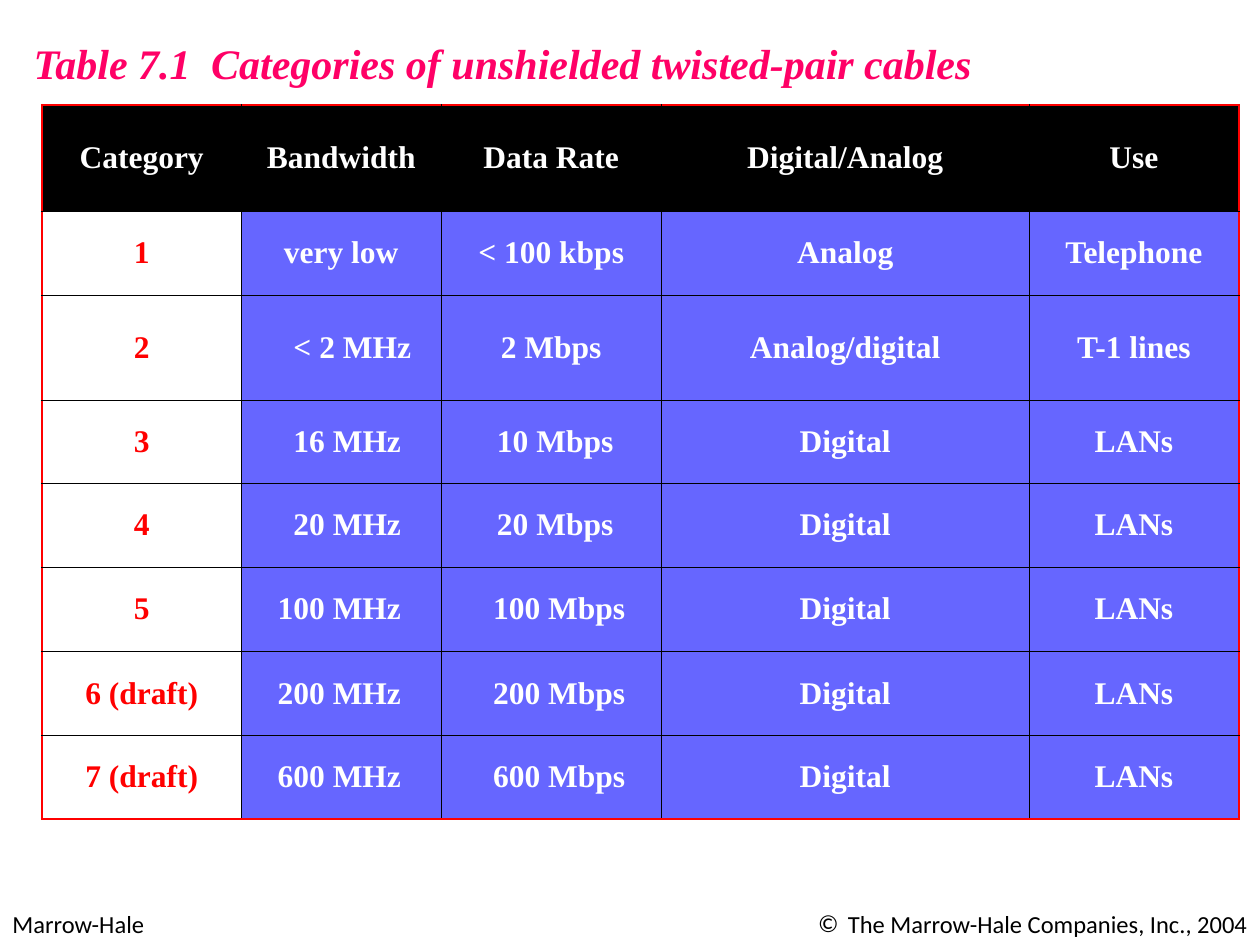
import pptx
import pptx.dml.color
import pptx.enum.text
import pptx.oxml
import pptx.oxml.ns
import pptx.util

Pt = pptx.util.Pt
ALIGN = pptx.enum.text.PP_ALIGN
MIDDLE = pptx.enum.text.MSO_ANCHOR.MIDDLE

COLORS = {"title": "FF0066", "black": "000000", "white": "FFFFFF",
          "red": "FF0000", "blue": "6666FF"}
SERIF, SANS = "Times New Roman", "Calibri"

COL_WIDTHS = [114, 114, 126, 210, 120]
ROW_HEIGHTS = [60.5, 48, 60.5, 47, 48, 48, 48.5, 47.5]
CABLES = [
    ["Category", "Bandwidth", "Data Rate", "Digital/Analog", "Use"],
    ["1", "very low", "< 100 kbps", "Analog", "Telephone"],
    ["2", "< 2 MHz", "2 Mbps", "Analog/digital", "T-1 lines"],
    ["3", "16 MHz", "10 Mbps", "Digital", "LANs"],
    ["4", "20 MHz", "20 Mbps", "Digital", "LANs"],
    ["5", "100 MHz", "100 Mbps", "Digital", "LANs"],
    ["6 (draft)", "200 MHz", "200 Mbps", "Digital", "LANs"],
    ["7 (draft)", "600 MHz", "600 Mbps", "Digital", "LANs"],
]
# Left indents by column, one per table row
INDENTS = {1: [0, 0, 22.5, 22.5, 22.5, 13.5, 13.5, 13.5],
           2: [0, 0, 0, 4.5, 4.5, 9, 9, 9]}


def rgb(name):
    return pptx.dml.color.RGBColor.from_string(COLORS[name])


def xml(tag, body="", attrs=""):
    ns = pptx.oxml.ns.nsdecls("a")
    return pptx.oxml.parse_xml(f"<a:{tag} {ns} {attrs}>{body}</a:{tag}>")


def write(tf, text, size=18, font=SERIF, color="black", bold=False,
          italic=False, align=ALIGN.LEFT, indent=0, bullet=None, tab=None):
    """Write one formatted paragraph into a text frame."""
    p = tf.paragraphs[0]
    p.alignment = align
    r = p.add_run()
    r.text = text
    r.font.size, r.font.name = Pt(size), font
    r.font.bold, r.font.italic = bold, italic
    r.font.color.rgb = rgb(color)
    pPr = p._p.get_or_add_pPr()
    if indent:
        pPr.set("marL", str(Pt(indent)))
    if bullet:
        pPr.set("indent", str(-Pt(indent)))
        pPr.append(xml("buFont", attrs=f'typeface="{font}"'))
        pPr.append(xml("buChar", attrs=f'char="{bullet}"'))
    if tab:
        pPr.append(xml("tabLst", f'<a:tab pos="{Pt(tab)}" algn="l"/>'))


def add_title(s):
    sp = s.shapes.title
    sp.left, sp.top, sp.width, sp.height = Pt(12), Pt(18), Pt(553), Pt(36)
    tf = sp.text_frame
    tf.word_wrap = True
    tf.vertical_anchor = MIDDLE
    write(tf, "Table 7.1\tCategories of unshielded twisted-pair cables",
          size=24, color="title", bold=True, italic=True, tab=101.5)


def add_footer(s, left, width, text, **fmt):
    sp = s.shapes.add_textbox(Pt(left), Pt(516), Pt(width), Pt(24.5))
    sp.text_frame.word_wrap = True
    write(sp.text_frame, text, size=14, font=SANS, **fmt)


def set_borders(cell, outer):
    """Red line on the outer sides, thin black line on the others."""
    tcPr = cell._tc.get_or_add_tcPr()
    for i, side in enumerate("LRTB"):
        color, width = ("red", 1.47) if side in outer else ("black", 0.45)
        fill = f'<a:solidFill><a:srgbClr val="{COLORS[color]}"/></a:solidFill>'
        tcPr.insert(i, xml(f"ln{side}", fill, f'w="{Pt(width)}"'))


def add_cable_table(s):
    n_rows, n_cols = len(CABLES), len(COL_WIDTHS)
    table = s.shapes.add_table(n_rows, n_cols, Pt(24), Pt(60),
                               Pt(sum(COL_WIDTHS)), Pt(sum(ROW_HEIGHTS))).table
    table.first_row = table.horz_banding = False
    for column, width in zip(table.columns, COL_WIDTHS):
        column.width = Pt(width)
    for row, height in zip(table.rows, ROW_HEIGHTS):
        row.height = Pt(height)

    for i, texts in enumerate(CABLES):
        for j, text in enumerate(texts):
            cell = table.cell(i, j)
            cell.vertical_anchor = MIDDLE
            if i == 0:
                fill, color = "black", "white"
            elif j == 0:
                fill, color = "white", "red"
            else:
                fill, color = "blue", "white"
            cell.fill.solid()
            cell.fill.fore_color.rgb = rgb(fill)
            edges = {"L": j == 0, "R": j == n_cols - 1,
                     "T": i == 0, "B": i == n_rows - 1}
            set_borders(cell, [side for side in edges if edges[side]])
            align = ALIGN.LEFT if j == 1 and i > 1 else ALIGN.CENTER
            indent = INDENTS[j][i] if j in INDENTS else 0
            write(cell.text_frame, text, color=color, bold=True,
                  align=align, indent=indent)


def main():
    prs = pptx.Presentation()
    prs.slide_width, prs.slide_height = Pt(720), Pt(540)
    s = prs.slides.add_slide(prs.slide_layouts[5])  # title only
    add_footer(s, 0, 174, "Marrow-Hale")
    add_footer(s, 360, 360, "The Marrow-Hale Companies, Inc., 2004",
               align=ALIGN.RIGHT, indent=17, bullet="©")
    add_title(s)
    add_cable_table(s)
    prs.save("out.pptx")


main()
